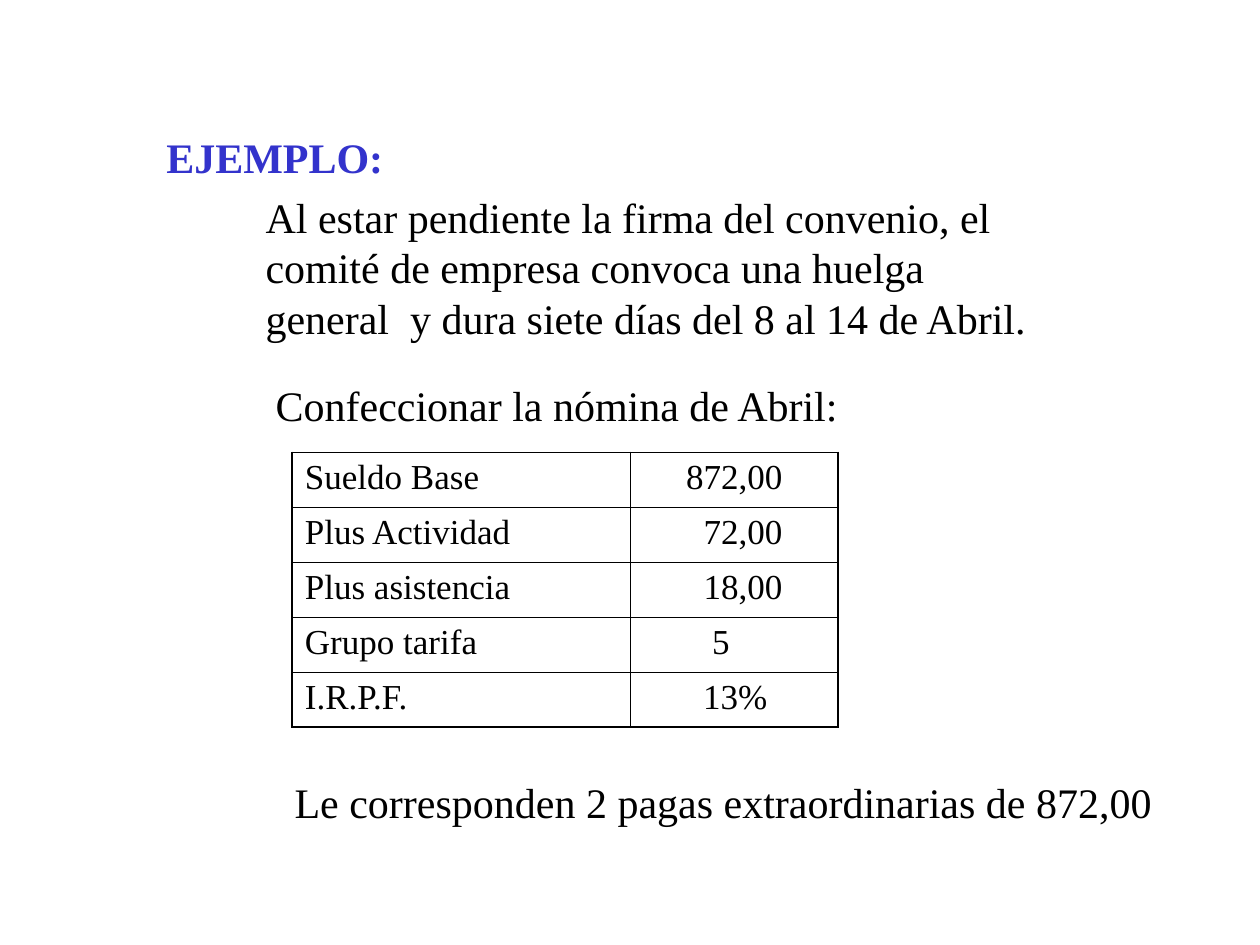
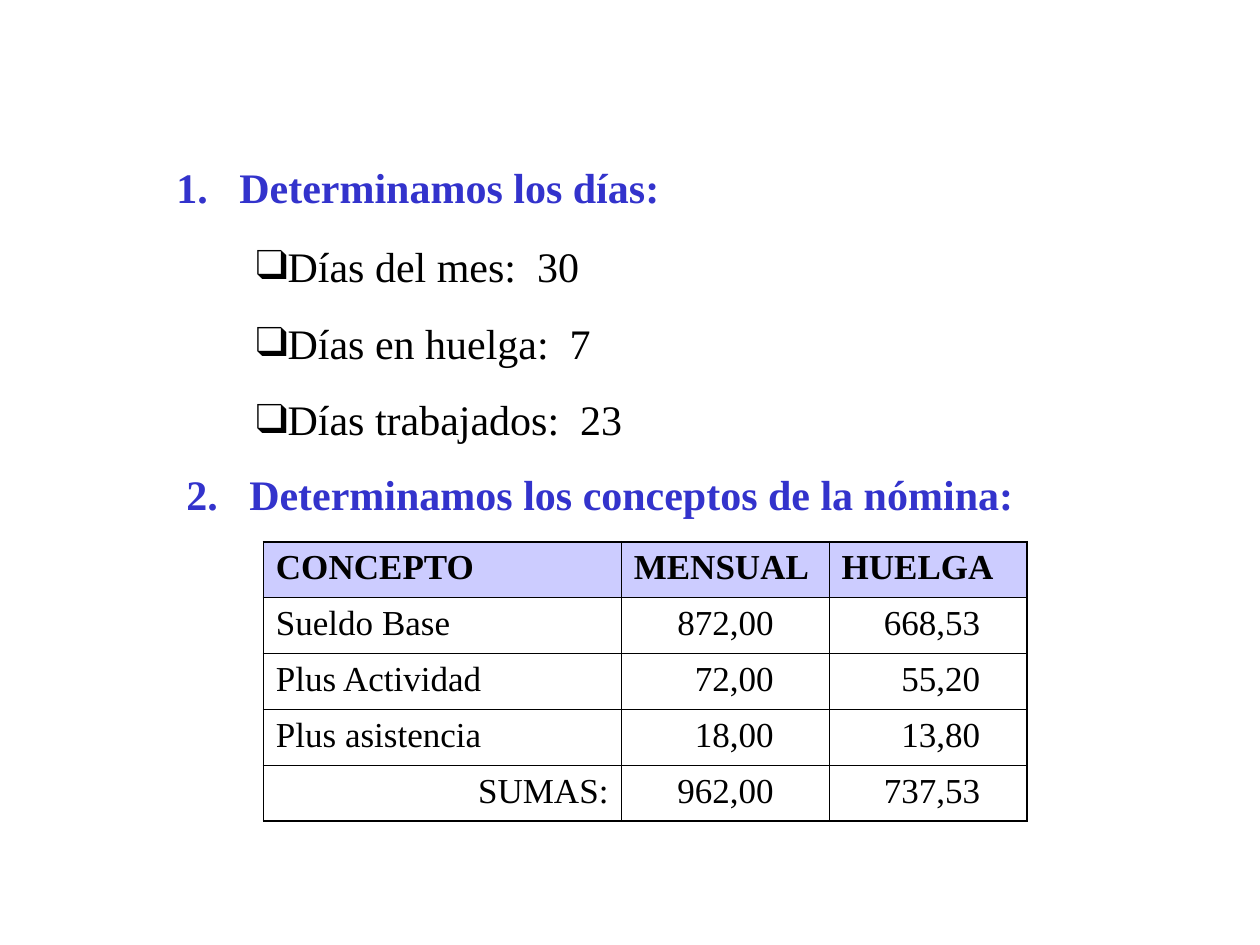
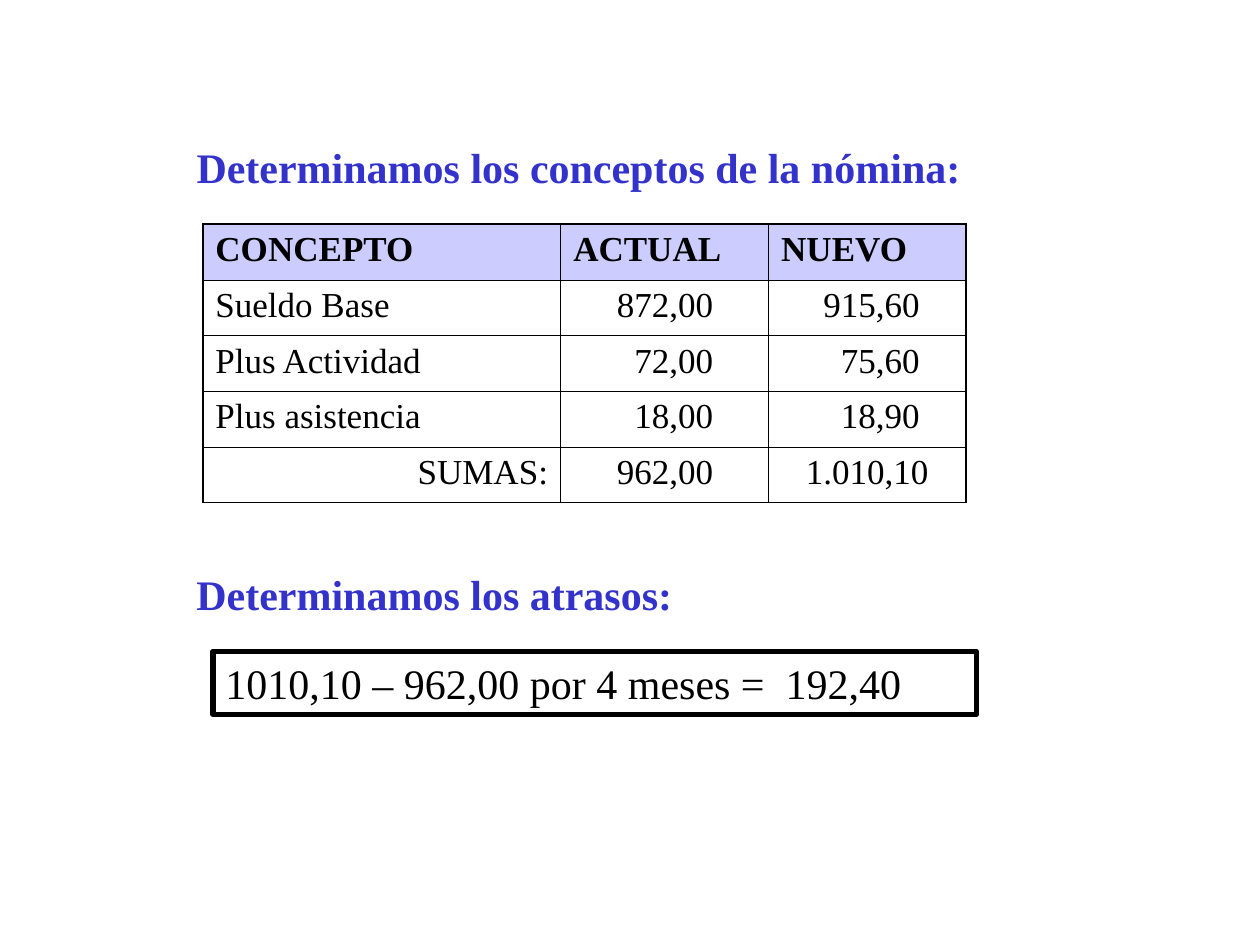
import pptx
import pptx.dml.color
import pptx.enum.shapes
import pptx.enum.text
import pptx.oxml
import pptx.oxml.ns
import pptx.util

Inches = pptx.util.Inches
Pt = pptx.util.Pt
ALIGN = pptx.enum.text.PP_ALIGN


def rgb(value):
    return pptx.dml.color.RGBColor.from_string(value)


def add_xml(parent, xml):
    ns = pptx.oxml.ns.nsdecls("a")
    tag, rest = xml[1:].split(" ", 1)
    parent.append(pptx.oxml.parse_xml(f"<{tag} {ns} {rest}"))


def write(p, text, size=24, color="000000", bold=False, align=ALIGN.LEFT,
          before=0, bullet=None, hang=0, font="Times New Roman"):
    p.alignment = align
    p.space_before = Pt(before)
    pPr = p._p.get_or_add_pPr()
    pPr.set("marL", str(Inches(hang)))
    pPr.set("indent", str(-Inches(hang)))
    if bullet:
        add_xml(pPr, f'<a:buClr ><a:srgbClr val="{color}"/></a:buClr>')
        add_xml(pPr, f'<a:buFont typeface="{font}"/>')
        add_xml(pPr, bullet)
    else:
        add_xml(pPr, "<a:buNone />")
    r = p.add_run()
    r.text = text
    r.font.size = Pt(size)
    r.font.name = font
    r.font.bold = bold
    r.font.color.rgb = rgb(color)


class Deck:
    accent = "3333CC"
    black = "000000"
    header_fill = "CCCCFF"
    outer, inner = 1.08, 0.45
    square = '<a:buChar char="❑"/>'

    def __init__(self):
        self.prs = pptx.Presentation()
        self.prs.slide_width = Inches(10)
        self.prs.slide_height = Inches(7.5)

    def new_slide(self, layout):
        self.s = self.prs.slides.add_slide(self.prs.slide_layouts.get_by_name(layout))

    def fill_frame(self, sp, at, texts, before=15, **fmt):
        sp.left, sp.top, sp.width, sp.height = map(Inches, at)
        tf = sp.text_frame
        tf.word_wrap = True
        tf.auto_size = pptx.enum.text.MSO_AUTO_SIZE.NONE
        tf.vertical_anchor = pptx.enum.text.MSO_ANCHOR.TOP
        for i, text in enumerate(texts):
            p = tf.add_paragraph() if i else tf.paragraphs[0]
            write(p, text, before=before if i else 0, **fmt)

    def heading_format(self, number):
        fmt = {"color": self.accent, "bold": True}
        if number:
            fmt["bullet"] = f'<a:buAutoNum type="arabicPeriod" startAt="{number}"/>'
            fmt["hang"] = 0.5
        return fmt

    def title(self, at, text, number=None):
        self.fill_frame(self.s.shapes.title, at, [text], **self.heading_format(number))

    def heading(self, at, text, number=None):
        self.text(at, text, **self.heading_format(number))

    def text(self, at, text, **fmt):
        sp = self.s.shapes.add_textbox(*map(Inches, at))
        self.fill_frame(sp, at, [text], **fmt)

    def bullets(self, at, texts):
        self.fill_frame(self.s.placeholders[1], at, texts, bullet=self.square)

    def framed(self, at, text):
        sp = self.s.shapes.add_shape(pptx.enum.shapes.MSO_SHAPE.RECTANGLE, *map(Inches, at))
        sp.shadow.inherit = False
        sp.fill.background()
        sp.line.color.rgb = rgb(self.black)
        sp.line.width = Pt(3)
        self.fill_frame(sp, at, [text])

    def borders(self, cell, edges):
        tcPr = cell._tc.get_or_add_tcPr()
        for side, is_outer in zip("LRTB", edges):
            width = Pt(self.outer if is_outer else self.inner)
            add_xml(tcPr, f'<a:ln{side} w="{width}"><a:solidFill><a:srgbClr '
                          f'val="{self.black}"/></a:solidFill></a:ln{side}>')

    def table(self, left, top, height, widths, insets, rows, header=True):
        last_row, last_col = len(rows) - 1, len(widths) - 1
        table = self.s.shapes.add_table(len(rows), len(widths), Inches(left), Inches(top),
                                        Inches(sum(widths)), Inches(height)).table
        table.first_row = table.horz_banding = False
        for column, width in zip(table.columns, widths):
            column.width = Inches(width)
        for i, row in enumerate(rows):
            for j, value in enumerate(row):
                text, inset = value if isinstance(value, tuple) else (value, insets[j])
                cell = table.cell(i, j)
                self.borders(cell, (j == 0, j == last_col, i == 0, i == last_row))
                is_header = header and i == 0
                if is_header:
                    cell.fill.solid()
                    cell.fill.fore_color.rgb = rgb(self.header_fill)
                else:
                    cell.fill.background()
                to_right = not is_header and (j > 0 or text == "SUMAS:")
                cell.margin_right = Inches(inset if to_right else 0.1)
                write(cell.text_frame.paragraphs[0], text, size=20, bold=is_header,
                      align=ALIGN.RIGHT if to_right else ALIGN.LEFT)


CONCEPTS = ["Sueldo Base", "Plus Actividad", "Plus asistencia"]
AMOUNTS = ["872,00", "72,00", "18,00"]
WIDTHS = [2.84, 1.65, 1.57]
INSETS = [0.1, 0.44, 0.37]


def payroll_rows(labels, amounts, total):
    return [("CONCEPTO", *labels), *zip(CONCEPTS, AMOUNTS, amounts),
            ("SUMAS:", "962,00", total)]


def main():
    deck = Deck()

    deck.new_slide("Title Only")
    deck.title((1.22, 0.99, 2.84, 0.5), "EJEMPLO:")
    deck.text((2.01, 1.47, 6.3, 1.3),
              "Al estar pendiente la firma del convenio, el comité de empresa convoca "
              "una huelga general  y dura siete días del 8 al 14 de Abril.")
    deck.text((2.09, 2.96, 6.06, 0.5), "Confeccionar la nómina de Abril:")
    deck.table(2.32, 3.59, 2.18, [2.68, 1.65], INSETS,
               [*zip(CONCEPTS, AMOUNTS), ("Grupo tarifa", ("5", 0.86)),
                ("I.R.P.F.", ("13%", 0.56))], header=False)
    deck.text((2.24, 6.11, 7.24, 0.5), "Le corresponden 2 pagas extraordinarias de 872,00")

    deck.new_slide("Title and Content")
    deck.bullets((1.93, 1.86, 6.69, 1.72),
                 ["Días del mes:  30", "Días en huelga:  7", "Días trabajados:  23"])
    deck.title((1.3, 1.23, 5.43, 0.5), "Determinamos los días:", number=1)
    deck.heading((1.38, 3.67, 7.32, 0.5), "Determinamos los conceptos de la nómina:", number=2)
    deck.table(2.09, 4.3, 2.22, WIDTHS, INSETS,
               payroll_rows(["MENSUAL", "HUELGA"], ["668,53", "55,20", "13,80"], "737,53"))

    deck.new_slide("Title Only")
    deck.title((1.46, 1.07, 7.32, 0.5), "Determinamos los conceptos de la nómina:")
    deck.table(1.61, 1.78, 2.21, WIDTHS, INSETS,
               payroll_rows(["ACTUAL", "NUEVO"], ["915,60", "75,60", "18,90"],
                            ("1.010,10", 0.3)))
    deck.heading((1.46, 4.46, 7.32, 0.5), "Determinamos los atrasos:")
    deck.framed((1.69, 5.17, 6.06, 0.5), "1010,10 – 962,00 por 4 meses =  192,40")

    deck.prs.save("out.pptx")


if __name__ == "__main__":
    main()
